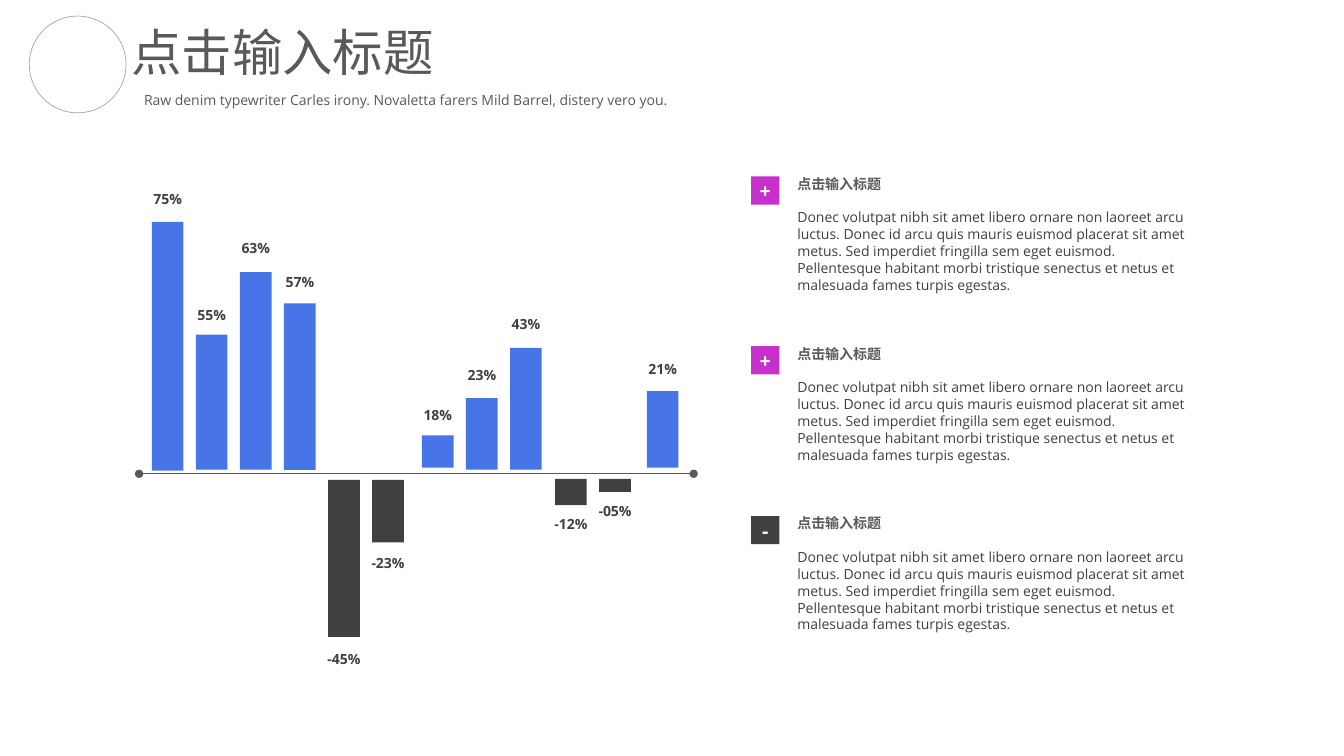
from dataclasses import dataclass
from lxml.etree import SubElement
from pptx import Presentation
from pptx.dml.color import RGBColor
from pptx.enum.shapes import MSO_CONNECTOR, MSO_SHAPE
from pptx.enum.text import MSO_ANCHOR, MSO_AUTO_SIZE, PP_ALIGN
from pptx.oxml.ns import qn
from pptx.util import Inches, Pt


@dataclass(frozen=True)
class Theme:
    blue: str = "4775E7"
    pink: str = "C830CC"
    dark: str = "404040"
    grey: str = "595959"
    pale: str = "A6A6A6"
    white: str = "FFFFFF"
    head: str = "Lato"
    body: str = "Open Sans"
    big: int = 36
    sign: int = 14
    small: int = 10


THEME = Theme()
WIDE, HIGH = Inches(13.33), Inches(7.5)

TITLE = "点击输入标题"
MOTTO = "Raw denim typewriter Carles irony. Novaletta farers Mild Barrel, distery vero you."
STORY = ("Donec volutpat nibh sit amet libero ornare non laoreet arcu luctus. "
         "Donec id arcu quis mauris euismod placerat sit amet metus. "
         "Sed imperdiet fringilla sem eget euismod. Pellentesque habitant morbi "
         "tristique senectus et netus et malesuada fames turpis egestas.")

# Bar groups: first column, then label, bar top, bar height, label top;
# rows are counted from the axis, downwards
GROUPS = [
    (0.94, [("75%", -33.33, 32.93, -38.13), ("55%", -18.4, 17.87, -22.8),
            ("63%", -26.67, 26.13, -31.6), ("57%", -22.53, 22, -27.2),
            ("-45%", 0.8, 20.8, 22.67), ("-23%", 0.8, 8.27, 10)]),
    (21.04, [("18%", -5.07, 4.27, -9.6), ("23%", -10, 9.47, -14.8),
             ("43%", -16.67, 16.13, -21.6)]),
    (30.95, [("-12%", 0.67, 3.47, 4.93), ("-05%", 0.67, 1.73, 3.2)]),
    (37.77, [("21%", -10.93, 10.13, -15.6)]),
]
SIGNS = [("+", THEME.pink), ("+", THEME.pink), ("-", THEME.dark)]


# Grid of 100 columns by 100 rows
def col(n):
    return round(WIDE * n / 100)


def row(n):
    return round(HIGH * n / 100)


def place(x, y, w, h):
    return col(x), row(y), col(w), row(h)


def rgb(code):
    return RGBColor.from_string(code)


# Basic parts
def write(para, words, size, font, ink, bold=False, align=PP_ALIGN.LEFT):
    para.alignment = align
    run = para.add_run()
    run.text = words
    run.font.size = Pt(size)
    run.font.name = font
    run.font.bold = bold
    run.font.color.rgb = rgb(ink)


def add_text(slide, box, wrap=False):
    frame = slide.shapes.add_textbox(*place(*box)).text_frame
    frame.word_wrap = wrap
    frame.auto_size = MSO_AUTO_SIZE.SHAPE_TO_FIT_TEXT
    return frame


def add_block(slide, box, fill):
    block = slide.shapes.add_shape(MSO_SHAPE.RECTANGLE, *place(*box))
    block.shadow.inherit = False
    block.fill.solid()
    block.fill.fore_color.rgb = rgb(fill)
    block.line.fill.background()
    return block


# Heading: ring, title and motto
def draw_head(slide, box):
    x, y, w, h = box
    ring = slide.shapes.add_shape(MSO_SHAPE.OVAL, *place(x, y, 7.2, 12.8))
    ring.shadow.inherit = False
    ring.fill.background()
    ring.line.color.rgb = rgb(THEME.pale)
    ring.line.width = Pt(0.5)
    frame = add_text(slide, (x + 6.6, y, 24.23, 9.47))
    write(frame.paragraphs[0], TITLE, THEME.big, THEME.head, THEME.grey,
          align=PP_ALIGN.RIGHT)
    frame = add_text(slide, (x + 7.8, y + 9.33, w - 7.8, h - 9.33))
    write(frame.paragraphs[0], MOTTO, THEME.small, THEME.body, THEME.grey)


# Axis with a dot at each end
def draw_axis(slide, x, y, w):
    axis = slide.shapes.add_connector(
        MSO_CONNECTOR.STRAIGHT, col(x), row(y), col(x + w), row(y))
    axis.line.color.rgb = rgb(THEME.grey)
    axis.line.width = Pt(1)
    line = axis.line._get_or_add_ln()
    for end in ("a:headEnd", "a:tailEnd"):
        SubElement(line, qn(end), type="oval")
    SubElement(axis._element.spPr, qn("a:effectLst"))


# Bars above and below the axis, with their labels
def draw_bars(slide, box):
    x, y, w, h = box
    base = y + h * 0.6
    thick, pitch, wide = 2.36, 3.28, 4.05
    draw_axis(slide, x, base, w)
    for start, bars in GROUPS:
        for i, (label, top, tall, above) in enumerate(bars):
            left = x + start + i * pitch
            fill = THEME.blue if top < 0 else THEME.dark
            add_block(slide, (left, base + top, thick, tall), fill)
            frame = add_text(
                slide, (left + (thick - wide) / 2, base + above, wide, 3.6))
            write(frame.paragraphs[0], label, THEME.small, THEME.body,
                  THEME.dark, True, PP_ALIGN.CENTER)


# One note: sign in a square, then heading and story
def draw_note(slide, box, sign, fill):
    x, y, w, h = box
    block = add_block(slide, (x, y + 0.8, 2.1, 3.73), fill)
    frame = block.text_frame
    frame.margin_left = frame.margin_right = 0
    frame.margin_top = frame.margin_bottom = 0
    frame.vertical_anchor = MSO_ANCHOR.MIDDLE
    write(frame.paragraphs[0], sign, THEME.sign, THEME.body, THEME.white,
          True, PP_ALIGN.CENTER)
    frame = add_text(slide, (x + 2.7, y, w - 2.7, h), True)
    first = frame.paragraphs[0]
    write(first, TITLE, THEME.small, THEME.head, THEME.grey, True)
    first.space_after = Pt(12)
    write(frame.add_paragraph(), STORY, THEME.small, THEME.body, THEME.dark)


def draw_notes(slide, box):
    x, y, w, h = box
    pitch = h / len(SIGNS)
    for i, (sign, fill) in enumerate(SIGNS):
        draw_note(slide, (x, y + i * pitch, w, 17.07), sign, fill)


def main():
    deck = Presentation()
    deck.slide_width, deck.slide_height = WIDE, HIGH
    slide = deck.slides.add_slide(deck.slide_layouts[6])
    draw_head(slide, (2.18, 2.13, 48.6, 12.93))
    draw_bars(slide, (10.35, 23.67, 41.26, 65))
    draw_notes(slide, (55.89, 22.53, 34.13, 67.4))
    deck.save("out.pptx")


if __name__ == "__main__":
    main()
